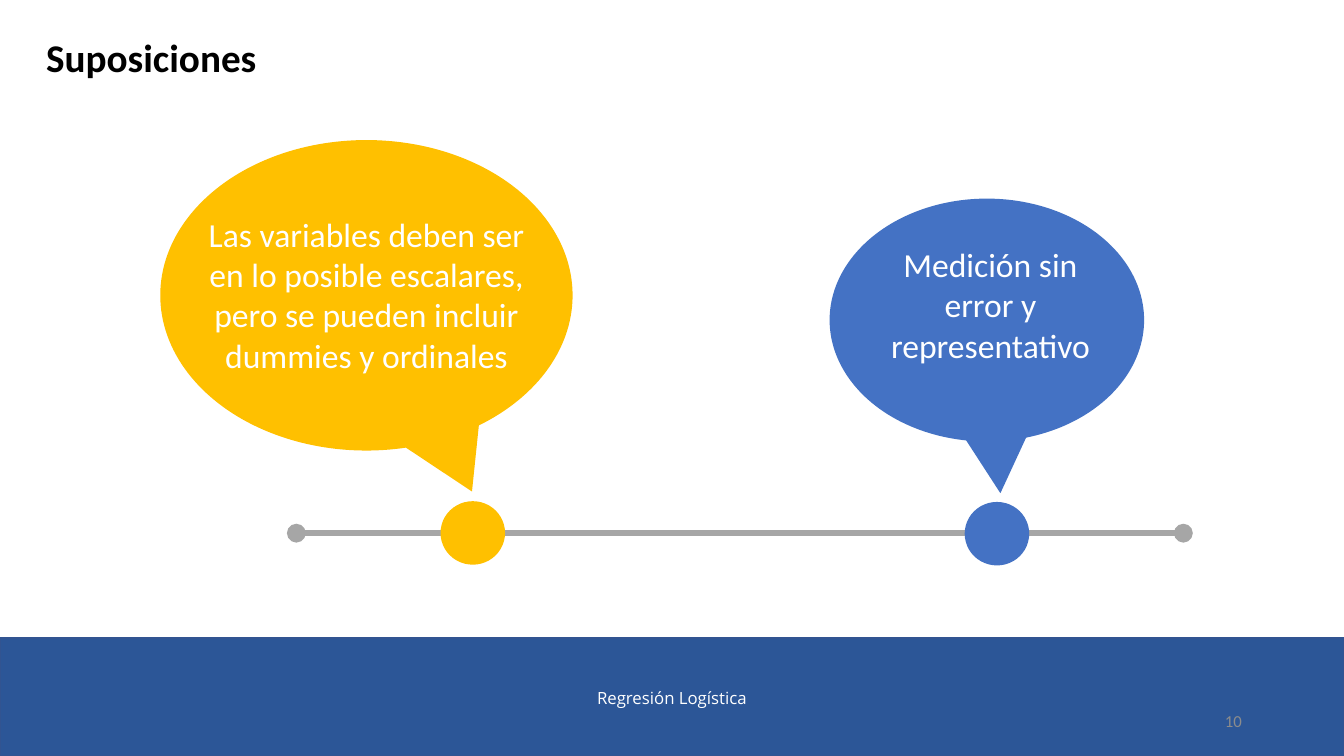
from dataclasses import dataclass

from lxml.etree import SubElement
from pptx import Presentation
from pptx.dml.color import RGBColor
from pptx.enum.shapes import MSO_CONNECTOR as Connector, MSO_SHAPE as Preset
from pptx.enum.text import MSO_ANCHOR as Anchor, PP_ALIGN as Align
from pptx.oxml.ns import qn
from pptx.util import Inches, Pt

COLORS = {
    "white": "FFFFFF", "black": "000000", "amber": "FFC000", "blue": "4472C4",
    "navy": "2C5697", "navy_edge": "325491", "gray": "A6A6A6", "number": "8C8C8C",
}

deck = Presentation()
deck.slide_width, deck.slide_height = Inches(13.333), Inches(7.5)
page = deck.slides.add_slide(deck.slide_layouts[6])


@dataclass
class Area:
    """A rectangle in percent of the slide's width and height."""
    left: float
    top: float
    width: float
    height: float

    def lengths(self) -> tuple:
        return (across(self.left), down(self.top), across(self.width), down(self.height))


@dataclass
class Label:
    text: str
    area: Area
    size: float
    color: str = "white"
    font: str = "Calibri"
    bold: bool = False
    align: Align = Align.CENTER
    anchor: Anchor = Anchor.TOP


@dataclass
class Assumption:
    color: str
    bubble: Area
    tail: tuple
    dot: Area
    label: Label


def across(share: float) -> int:
    return round(deck.slide_width * share / 100)


def down(share: float) -> int:
    return round(deck.slide_height * share / 100)


def rgb(name: str) -> RGBColor:
    return RGBColor.from_string(COLORS[name])


def add_filled(preset: Preset, area: Area, color: str, edge: str = "", adjust: tuple = ()) -> None:
    shape = page.shapes.add_shape(preset, *area.lengths())
    shape.shadow.inherit = False
    shape.fill.solid()
    shape.fill.fore_color.rgb = rgb(color)
    if edge:
        shape.line.color.rgb = rgb(edge)
        shape.line.width = Pt(1)
    else:
        shape.line.fill.background()
    for index, value in enumerate(adjust):
        shape.adjustments[index] = value


def add_label(label: Label) -> None:
    box = page.shapes.add_textbox(*label.area.lengths())
    box.text_frame.word_wrap = True
    box.text_frame.vertical_anchor = label.anchor
    para = box.text_frame.paragraphs[0]
    para.alignment = label.align
    span = para.add_run()
    span.text = label.text
    span.font.color.rgb = rgb(label.color)
    styles = {"name": label.font, "size": Pt(label.size), "bold": label.bold}
    for name, value in styles.items():
        setattr(span.font, name, value)


def add_timeline(start: float, end: float, row: float) -> None:
    line = page.shapes.add_connector(
        Connector.STRAIGHT, across(start), down(row), across(end), down(row))
    line.line.color.rgb = rgb("gray")
    line.line.width = Pt(4.5)
    outline = line.line._get_or_add_ln()
    for tag in ("a:headEnd", "a:tailEnd"):
        SubElement(outline, qn(tag), type="oval")
    SubElement(line._element.spPr, qn("a:effectLst"))


LABELS = [
    Label("10", Area(70.65, 92.67, 22.5, 5.33), 12, "number",
          align=Align.RIGHT, anchor=Anchor.MIDDLE),
    Label("Regresión Logística", Area(0, 90.27, 100, 4), 12, font="Open Sans"),
    Label("Suposiciones", Area(2.7, 3.73, 68.6, 7.6), 28, "black",
          bold=True, align=Align.LEFT),
]

ASSUMPTIONS = [
    Assumption(
        "amber", Area(11.93, 18.53, 30.68, 41.07), (0.256, 0.632),
        Area(32.78, 66.3, 4.8, 8.4),
        Label("Las variables deben ser en lo posible escalares, "
              "pero se pueden incluir dummies y ordinales",
              Area(14.03, 27.6, 26.48, 22.93), 24)),
    Assumption(
        "blue", Area(61.73, 26.27, 23.4, 32.13), (0.043, 0.713),
        Area(71.78, 66.4, 4.8, 8.4),
        Label("Medición sin error y representativo",
              Area(64.28, 31.6, 18.83, 17.47), 24)),
]

# Footer band, title and page number
add_filled(Preset.RECTANGLE, Area(0, 84.4, 100, 15.6), "navy", "navy_edge")
for label in LABELS:
    add_label(label)

# Timeline with one bubble and dot per assumption
add_timeline(22.05, 88.05, 70.53)
for item in ASSUMPTIONS:
    add_filled(Preset.OVAL_CALLOUT, item.bubble, item.color, adjust=item.tail)
    add_filled(Preset.OVAL, item.dot, item.color)
    add_label(item.label)

deck.save("out.pptx")
